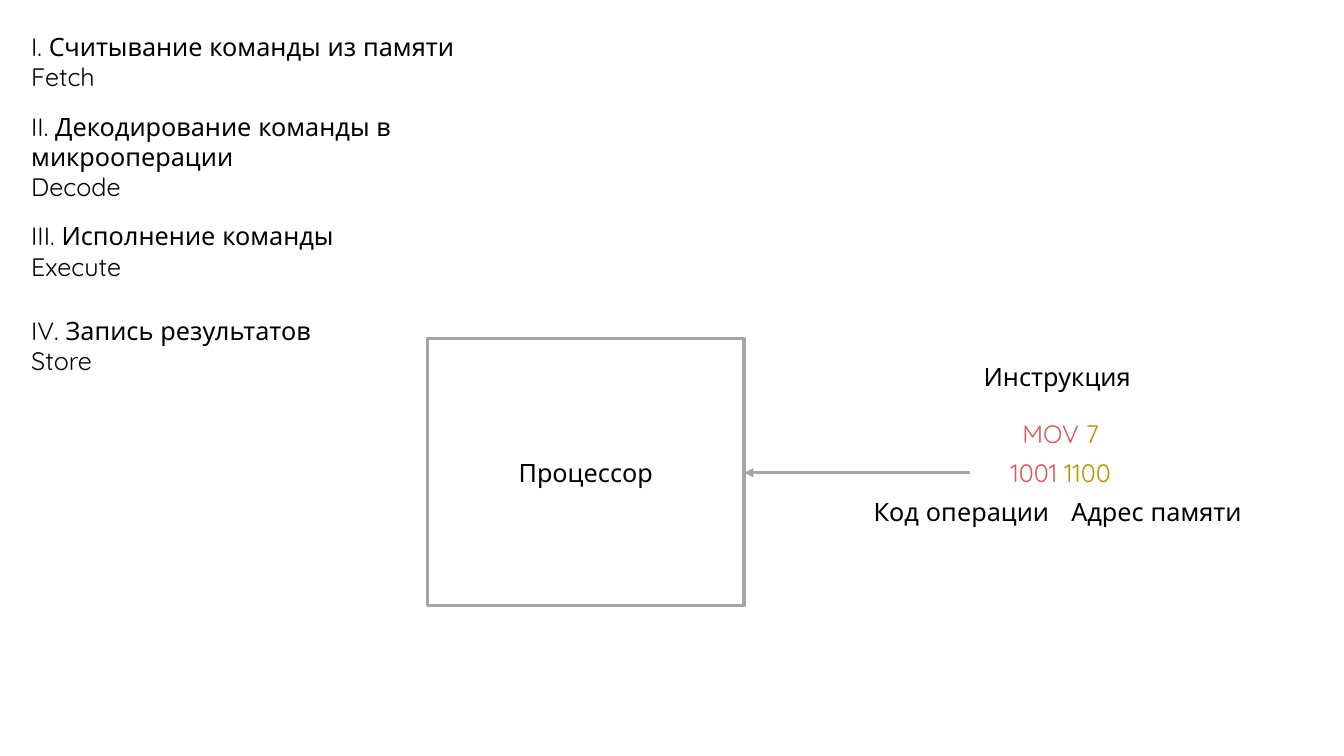
from dataclasses import dataclass

import pptx
import pptx.dml.color
import pptx.enum.shapes
import pptx.enum.text
import pptx.oxml.ns
import pptx.slide
import pptx.text.text
import pptx.util
from lxml import etree

Inches = pptx.util.Inches
Color = pptx.dml.color.RGBColor
Align = pptx.enum.text.PP_ALIGN

BLACK = Color(0x00, 0x00, 0x00)
GRAY = Color(0xA5, 0xA5, 0xA5)
RED = Color(0xDD, 0x59, 0x59)
GOLD = Color(0xBF, 0x90, 0x00)

FONT = "Quicksand"
SIZE = pptx.util.Pt(18)
STROKE = pptx.util.Pt(2.25)
STEP_TOP, STEP_GAP = 0.28, 0.94


@dataclass(frozen=True)
class Part:
    text: str
    color: Color = BLACK


@dataclass(frozen=True)
class Label:
    left: float
    top: float
    width: float
    height: float
    lines: list[list[Part]]
    align: Align = Align.CENTER


STEPS = [
    ("I. Считывание команды из памяти", "Fetch"),
    ("II. Декодирование команды в микрооперации", "Decode"),
    ("III. Исполнение команды", "Execute"),
    ("IV. Запись результатов", "Store"),
]

LABELS = [
    Label(9.57, 3.59, 1.9, 0.29, [[Part("Инструкция ")]]),
    Label(9.57, 4.1, 1.9, 0.4, [[Part("MOV ", RED), Part("7", GOLD)]]),
    Label(9.57, 4.49, 1.9, 0.4, [[Part("1001 ", RED), Part("1100", GOLD)]]),
    Label(8.62, 4.93, 1.9, 0.29, [[Part("Код операции ")]]),
    Label(10.52, 4.93, 1.9, 0.29, [[Part("Адрес памяти")]]),
] + [
    Label(0.31, STEP_TOP + i * STEP_GAP, 5.6, 0.66,
          [[Part(line)] for line in step], Align.LEFT)
    for i, step in enumerate(STEPS)
]


def write(frame: pptx.text.text.TextFrame, lines: list[list[Part]], align: Align) -> None:
    frame.word_wrap = True
    frame.vertical_anchor = pptx.enum.text.MSO_ANCHOR.MIDDLE
    frame.margin_left = frame.margin_right = 0
    frame.margin_top = frame.margin_bottom = 0
    for i, parts in enumerate(lines):
        para = frame.paragraphs[0] if i == 0 else frame.add_paragraph()
        para.alignment = align
        for part in parts:
            run = para.add_run()
            run.text = part.text
            run.font.name = FONT
            run.font.size = SIZE
            run.font.color.rgb = part.color


def add_label(slide: pptx.slide.Slide, label: Label) -> None:
    box = slide.shapes.add_textbox(Inches(label.left), Inches(label.top),
                                   Inches(label.width), Inches(label.height))
    write(box.text_frame, label.lines, label.align)


def add_chip(slide: pptx.slide.Slide) -> None:
    """Draw the processor box."""
    chip = slide.shapes.add_shape(pptx.enum.shapes.MSO_SHAPE.RECTANGLE,
                                  Inches(4.24), Inches(3.36), Inches(3.14), Inches(2.65))
    chip.shadow.inherit = False
    chip.fill.background()
    chip.line.color.rgb = GRAY
    chip.line.width = STROKE
    write(chip.text_frame, [[Part("Процессор")]], Align.CENTER)


def add_arrow(slide: pptx.slide.Slide) -> None:
    """Draw the arrow from the instruction to the processor."""
    arrow = slide.shapes.add_connector(pptx.enum.shapes.MSO_CONNECTOR.STRAIGHT,
                                       Inches(9.62), Inches(4.69), Inches(7.38), Inches(4.69))
    arrow.line.color.rgb = GRAY
    arrow.line.width = STROKE
    qn = pptx.oxml.ns.qn
    etree.SubElement(arrow.line._get_or_add_ln(), qn("a:tailEnd"), type="triangle")
    etree.SubElement(arrow._element.spPr, qn("a:effectLst"))


def main() -> None:
    deck = pptx.Presentation()
    deck.slide_width, deck.slide_height = Inches(13.33), Inches(7.5)
    slide = deck.slides.add_slide(deck.slide_layouts[6])
    add_chip(slide)
    add_arrow(slide)
    for label in LABELS:
        add_label(slide, label)
    deck.save("out.pptx")


if __name__ == "__main__":
    main()
